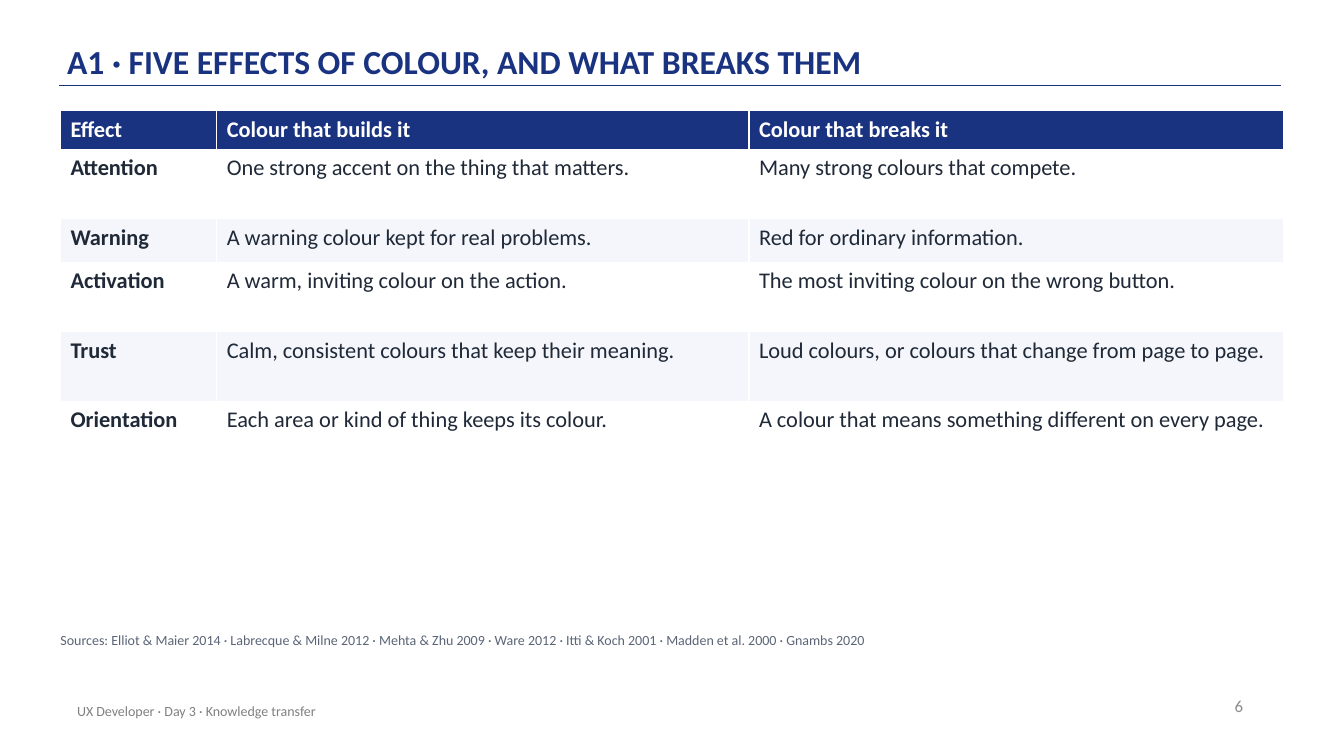
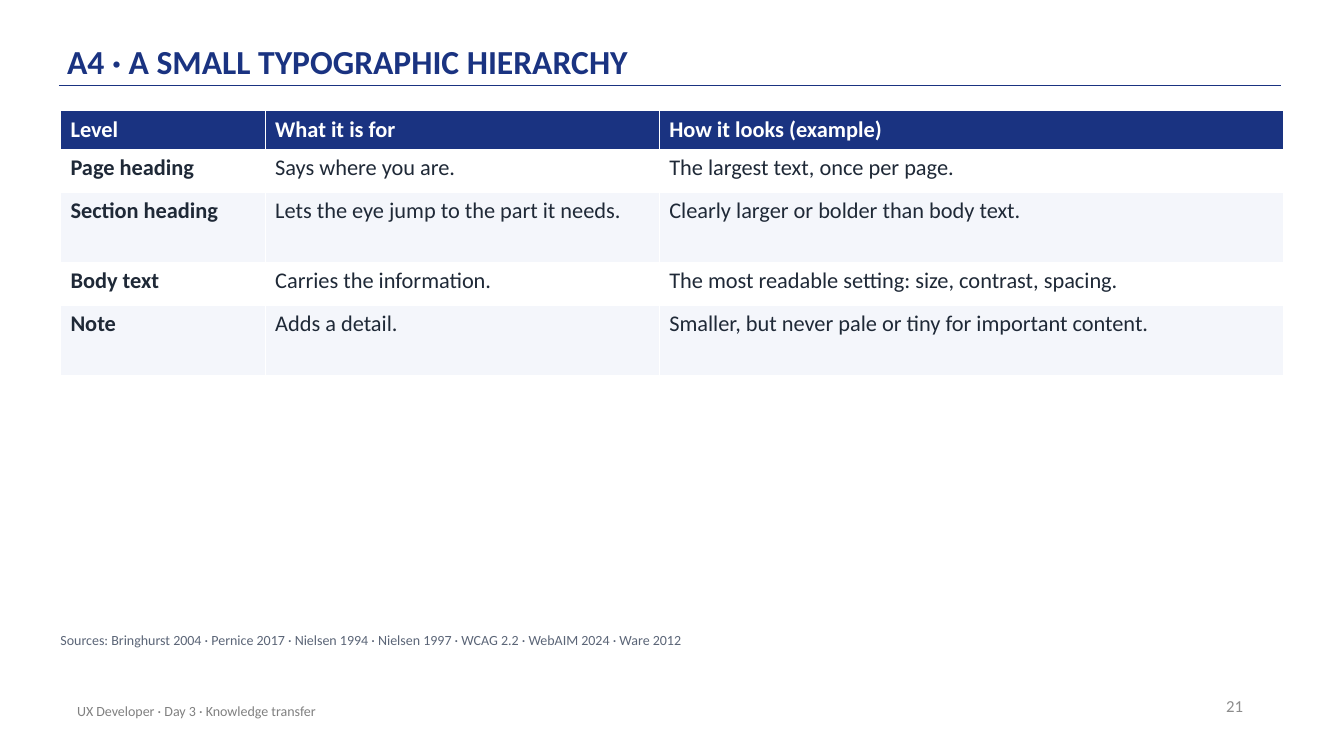
from lxml import etree
from pptx import Presentation
from pptx.dml.color import RGBColor
from pptx.enum.shapes import MSO_CONNECTOR
from pptx.enum.text import MSO_ANCHOR, PP_ALIGN
from pptx.oxml.ns import qn
from pptx.util import Pt

STRAIGHT = MSO_CONNECTOR.STRAIGHT
TOP, MIDDLE, BOTTOM = MSO_ANCHOR.TOP, MSO_ANCHOR.MIDDLE, MSO_ANCHOR.BOTTOM
LEFT, RIGHT = PP_ALIGN.LEFT, PP_ALIGN.RIGHT

FONT = "Calibri"
COLORS = {
    "navy": "1A3381",
    "ink": "1F2937",
    "source": "5B6577",
    "footer": "808080",
    "number": "8C8C8C",
    "white": "FFFFFF",
    "band": "F4F6FB",
}
FOOTER = "UX Developer · Day 3 · Knowledge transfer"
HEADER_H, SHORT, TALL = 27.4, 31, 49.7

SLIDES = [
    {
        "number": 6,
        "title": "A1 · FIVE EFFECTS OF COLOUR, AND WHAT BREAKS THEM",
        "widths": [111.6, 380.2, 381.6],
        "header": ["Effect", "Colour that builds it", "Colour that breaks it"],
        "rows": [
            (TALL, "Attention", "One strong accent on the thing that matters.",
             "Many strong colours that compete."),
            (SHORT, "Warning", "A warning colour kept for real problems.",
             "Red for ordinary information."),
            (TALL, "Activation", "A warm, inviting colour on the action.",
             "The most inviting colour on the wrong button."),
            (TALL, "Trust", "Calm, consistent colours that keep their meaning.",
             "Loud colours, or colours that change from page to page."),
            (TALL, "Orientation", "Each area or kind of thing keeps its colour.",
             "A colour that means something different on every page."),
        ],
        "sources": "Sources: Elliot & Maier 2014 · Labrecque & Milne 2012 · "
                   "Mehta & Zhu 2009 · Ware 2012 · Itti & Koch 2001 · "
                   "Madden et al. 2000 · Gnambs 2020",
    },
    {
        "number": 21,
        "title": "A4 · A SMALL TYPOGRAPHIC HIERARCHY",
        "widths": [146.2, 281.5, 445.7],
        "header": ["Level", "What it is for", "How it looks (example)"],
        "rows": [
            (SHORT, "Page heading", "Says where you are.",
             "The largest text, once per page."),
            (TALL, "Section heading", "Lets the eye jump to the part it needs.",
             "Clearly larger or bolder than body text."),
            (SHORT, "Body text", "Carries the information.",
             "The most readable setting: size, contrast, spacing."),
            (TALL, "Note", "Adds a detail.",
             "Smaller, but never pale or tiny for important content."),
        ],
        "sources": "Sources: Bringhurst 2004 · Pernice 2017 · Nielsen 1994 · "
                   "Nielsen 1997 · WCAG 2.2 · WebAIM 2024 · Ware 2012",
    },
]


def rgb(name):
    return RGBColor.from_string(COLORS[name])


def add_run(p, text, size, color, bold=False):
    r = p.add_run()
    r.text = text
    r.font.name = FONT
    r.font.size = Pt(size)
    r.font.bold = bold
    r.font.color.rgb = rgb(color)


def add_text(s, box, text, size, color, bold=False, align=LEFT,
             anchor=MIDDLE, insets=(7.2, 3.6)):
    tf = s.shapes.add_textbox(*map(Pt, box)).text_frame
    tf.word_wrap = True
    tf.vertical_anchor = anchor
    tf.margin_left = tf.margin_right = Pt(insets[0])
    tf.margin_top = tf.margin_bottom = Pt(insets[1])
    p = tf.paragraphs[0]
    p.alignment = align
    add_run(p, text, size, color, bold)
    return p


def add_rule(s):
    line = s.shapes.add_connector(STRAIGHT, Pt(42), Pt(61.2), Pt(915), Pt(61.2))
    line.line.color.rgb = rgb("navy")
    line.line.width = Pt(1)
    etree.SubElement(line._element.spPr, qn("a:effectLst"))


def add_frame(s, title, number):
    add_rule(s)
    p = add_text(s, (48, 8.6, 792, 52), title, 24, "navy", True,
                 anchor=BOTTOM, insets=(0, 2.2))
    p.line_spacing = 0.9
    add_text(s, (679, 489.6, 216, 28.8), str(number), 12, "number", align=RIGHT)
    add_text(s, (48, 493.2, 482.4, 28.8), FOOTER, 10, "footer")


def fill_cell(cell, text, fill, color, bold):
    cell.fill.solid()
    cell.fill.fore_color.rgb = rgb(fill)
    add_run(cell.text_frame.paragraphs[0], text, 16, color, bold)


def add_table(s, widths, header, rows):
    heights = [HEADER_H] + [row[0] for row in rows]
    table = s.shapes.add_table(len(heights), len(widths), Pt(43.2), Pt(79.2),
                               Pt(sum(widths)), Pt(sum(heights))).table
    table.horz_banding = False
    for column, width in zip(table.columns, widths):
        column.width = Pt(width)
    for row, height in zip(table.rows, heights):
        row.height = Pt(height)
    for c, text in enumerate(header):
        fill_cell(table.cell(0, c), text, "navy", "white", True)
    for i, (_, *texts) in enumerate(rows):
        fill = "band" if i % 2 else "white"
        for c, text in enumerate(texts):
            fill_cell(table.cell(i + 1, c), text, fill, "ink", c == 0)


def add_sources(s, text):
    p = add_text(s, (43.2, 451.4, 871.2, 21.6), text, 10, "source",
                 anchor=TOP, insets=(0, 0))
    p.space_after = Pt(6)


def main():
    prs = Presentation()
    prs.slide_width, prs.slide_height = Pt(960), Pt(540)
    for content in SLIDES:
        s = prs.slides.add_slide(prs.slide_layouts[6])
        add_frame(s, content["title"], content["number"])
        add_table(s, content["widths"], content["header"], content["rows"])
        add_sources(s, content["sources"])
    prs.save("out.pptx")


if __name__ == "__main__":
    main()
